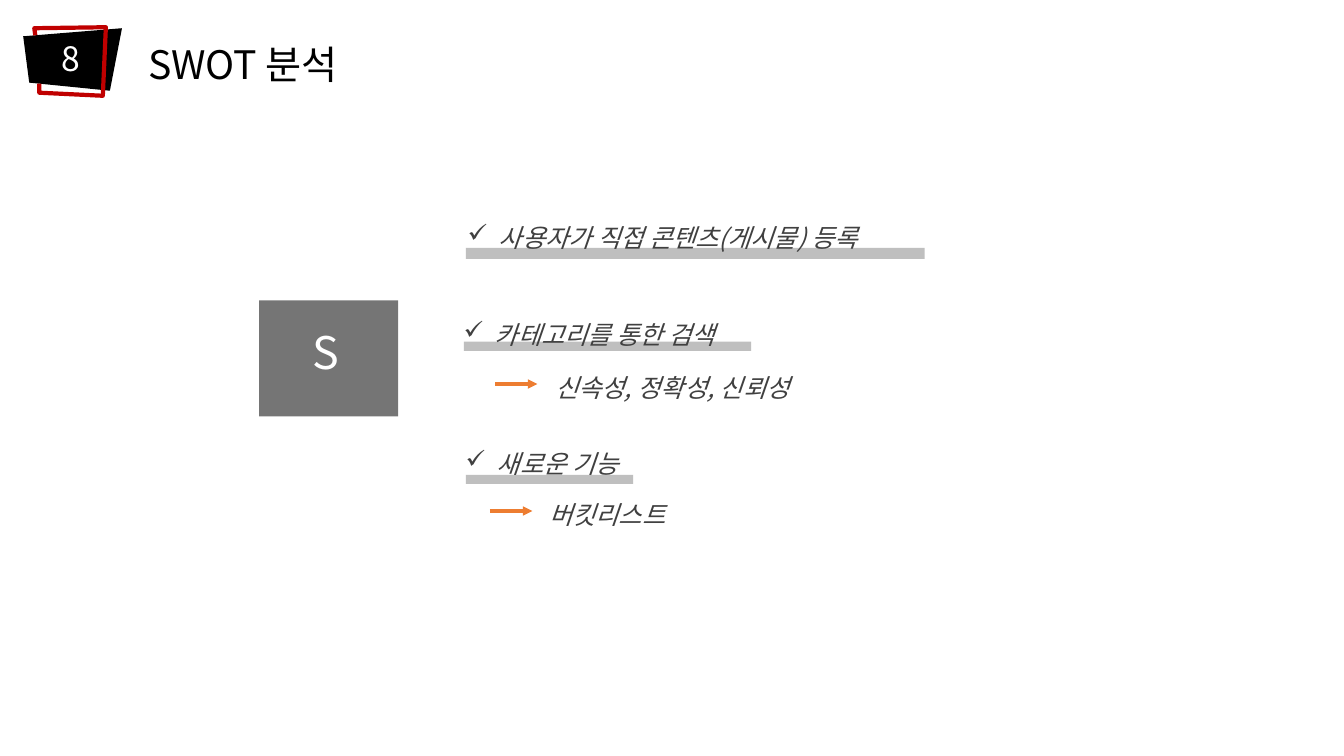
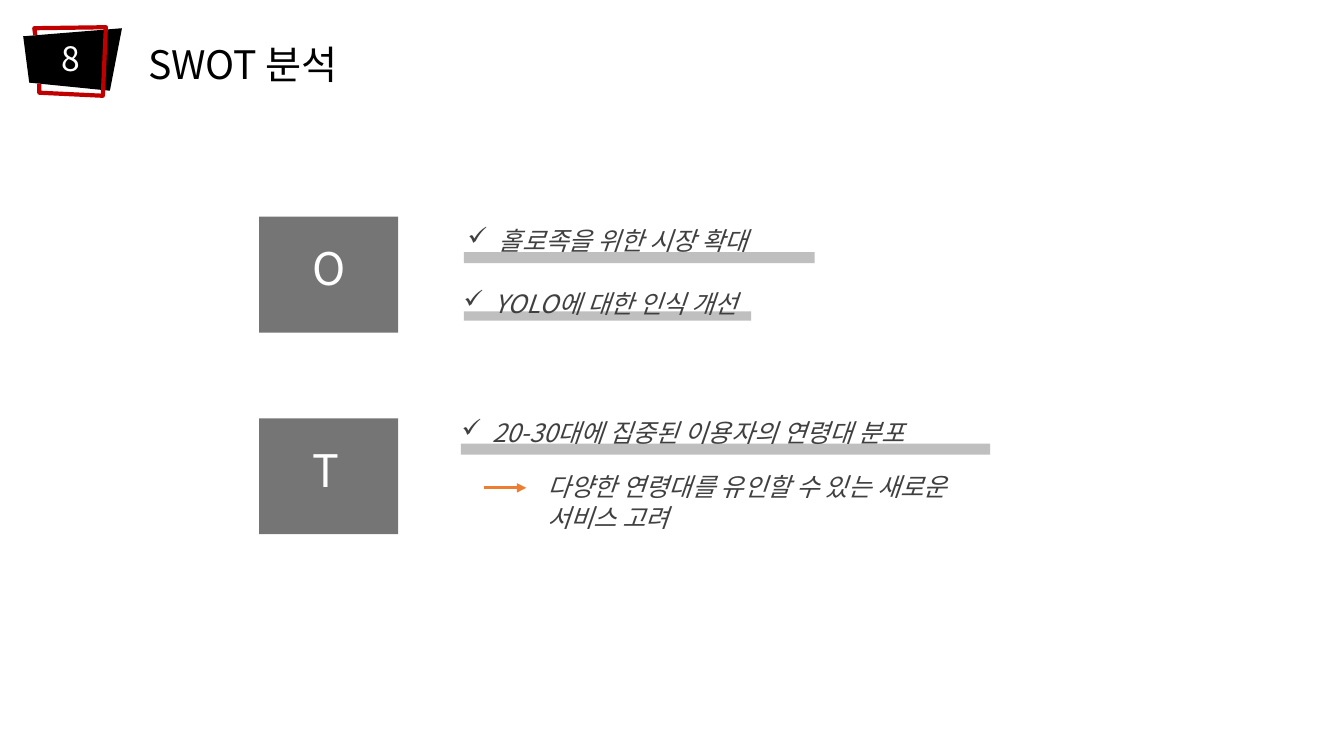
from lxml.etree import SubElement
from pptx import Presentation
from pptx.dml.color import RGBColor
from pptx.enum.shapes import MSO_CONNECTOR, MSO_SHAPE
from pptx.enum.text import MSO_ANCHOR, MSO_AUTO_SIZE, PP_ALIGN
from pptx.oxml.ns import qn
from pptx.util import Pt

PX = 9144
FONT = "Noto Sans CJK KR"
COLORS = {
    "black": "000000",
    "white": "FFFFFF",
    "red": "C00000",
    "orange": "ED7D31",
    "bar": "BFBFBF",
    "text": "404040",
}

NUMBER, TITLE = "8", "SWOT 분석"
BADGE = [(23, 36), (29, 82), (109, 90), (121, 28)]
BADGE_FRAME = [(35, 35), (34, 28), (105, 27), (102, 95), (39, 92), (39, 83)]
LETTER_LEFT, LETTER_WIDTH, LETTER_HEIGHT = 257, 138, 115
ARROW_LENGTH = 42
INDENT = 31

# letters: text, top
# points: text, text box (left, top, width), underline bar (left, top, width, height)
# results: text, text box (left, top), arrow start (x, y)
SLIDES = [
    {
        "letters": [("S", 298)],
        "points": [
            ("사용자가 직접 콘텐츠(게시물) 등록", (454, 216, 455), (462, 246, 455, 11)),
            ("카테고리를 통한 검색", (450, 312, 335), (460, 339, 285, 9)),
            ("새로운 기능", (452, 440, 341), (462, 471, 166, 9)),
        ],
        "results": [
            ("신속성, 정확성, 신뢰성", (541, 364), (491, 381)),
            ("버킷리스트", (535, 490), (486, 507)),
        ],
    },
    {
        "letters": [("O", 215), ("T", 415)],
        "points": [
            ("홀로족을 위한 시장 확대", (454, 219, 348), (460, 250, 348, 11)),
            ("YOLO에 대한 인식 개선", (450, 281, 335), (460, 309, 285, 9)),
            ("20-30대에 집중된 이용자의 연령대 분포", (448, 409, 525), (457, 440, 525, 11)),
        ],
        "results": [
            ("다양한 연령대를 유인할 수 있는 새로운 서비스 고려", (533, 463), (480, 484)),
        ],
    },
]


def rgb(name):
    return RGBColor.from_string(COLORS[name])


def style(paragraph, size, color, italic=False):
    font = paragraph.font
    font.name, font.size, font.italic = FONT, Pt(size), italic
    font.color.rgb = rgb(color)
    defaults = paragraph._p.pPr.find(qn("a:defRPr"))
    SubElement(defaults, qn("a:ea"), typeface=FONT)


def add_text(slide, text, box, size, color, italic=False, wrap=True, bullet=None):
    shape = slide.shapes.add_textbox(*(value * PX for value in box))
    frame = shape.text_frame
    frame.word_wrap = wrap
    frame.auto_size = MSO_AUTO_SIZE.SHAPE_TO_FIT_TEXT
    paragraph = frame.paragraphs[0]
    paragraph.text = text
    if bullet:
        properties = paragraph._p.get_or_add_pPr()
        properties.set("marL", str(INDENT * PX))
        properties.set("indent", str(-INDENT * PX))
        SubElement(properties, qn("a:buChar"), char=bullet)
    style(paragraph, size, color, italic)


def add_rectangle(slide, box, color):
    shape = slide.shapes.add_shape(MSO_SHAPE.RECTANGLE, *(value * PX for value in box))
    shape.shadow.inherit = False
    shape.fill.solid()
    shape.fill.fore_color.rgb = rgb(color)
    shape.line.fill.background()
    return shape


def add_outline(slide, points, close):
    builder = slide.shapes.build_freeform(*points[0], scale=PX)
    builder.add_line_segments(points[1:], close=close)
    shape = builder.convert_to_shape()
    shape.shadow.inherit = False
    return shape


def add_header(slide):
    badge = add_outline(slide, BADGE, True)
    badge.fill.solid()
    badge.fill.fore_color.rgb = rgb("black")
    badge.line.fill.background()
    frame = add_outline(slide, BADGE_FRAME, False)
    frame.fill.background()
    frame.line.color.rgb = rgb("red")
    frame.line.width = Pt(3)
    add_text(slide, NUMBER, (51, 33, 37, 50), 24, "white", wrap=False)
    add_text(slide, TITLE, (137, 35, 229, 57), 28, "black", wrap=False)


def add_letter(slide, letter, top):
    shape = add_rectangle(slide, (LETTER_LEFT, top, LETTER_WIDTH, LETTER_HEIGHT), "black")
    color = shape.fill._xPr.find(qn("a:solidFill"))[0]
    SubElement(color, qn("a:alpha"), val="54000")
    frame = shape.text_frame
    frame.vertical_anchor = MSO_ANCHOR.TOP
    frame.margin_left, frame.margin_top = 53 * PX, 24 * PX
    paragraph = frame.paragraphs[0]
    paragraph.text = letter
    paragraph.alignment = PP_ALIGN.LEFT
    style(paragraph, 32, "white")


def add_arrow(slide, x, y):
    arrow = slide.shapes.add_connector(
        MSO_CONNECTOR.STRAIGHT, x * PX, y * PX, (x + ARROW_LENGTH) * PX, y * PX)
    arrow.line.color.rgb = rgb("orange")
    arrow.line.width = Pt(2.25)
    SubElement(arrow.line._get_or_add_ln(), qn("a:tailEnd"), type="triangle")
    SubElement(arrow._element.spPr, qn("a:effectLst"))


def main():
    presentation = Presentation()
    presentation.slide_width, presentation.slide_height = 1333 * PX, 750 * PX
    for content in SLIDES:
        slide = presentation.slides.add_slide(presentation.slide_layouts[6])
        add_header(slide)
        for letter, top in content["letters"]:
            add_letter(slide, letter, top)
        for text, box, bar in content["points"]:
            add_rectangle(slide, bar, "bar")
            add_text(slide, text, (*box, 40), 18, "text", italic=True, bullet="✓")
        for text, corner, start in content["results"]:
            add_arrow(slide, *start)
            add_text(slide, text, (*corner, 472, 40), 18, "text", italic=True)
    presentation.save("out.pptx")


if __name__ == "__main__":
    main()
